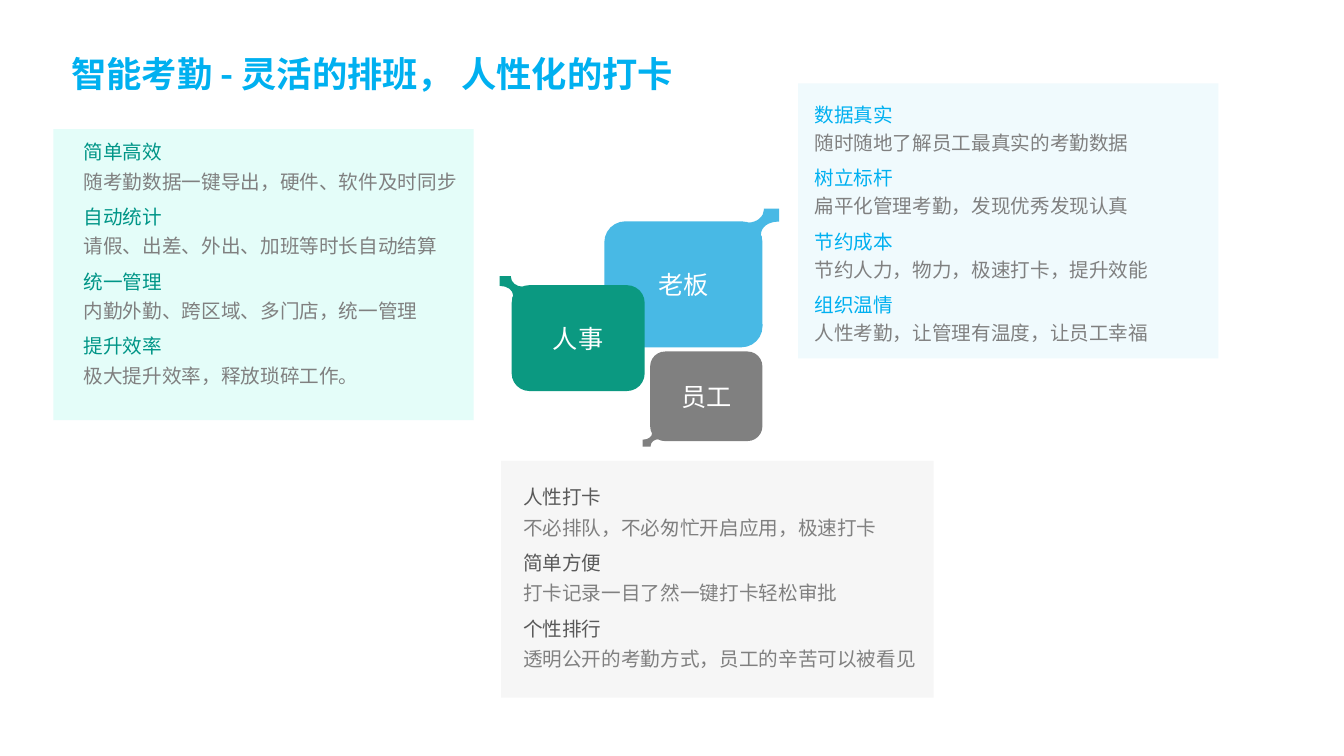
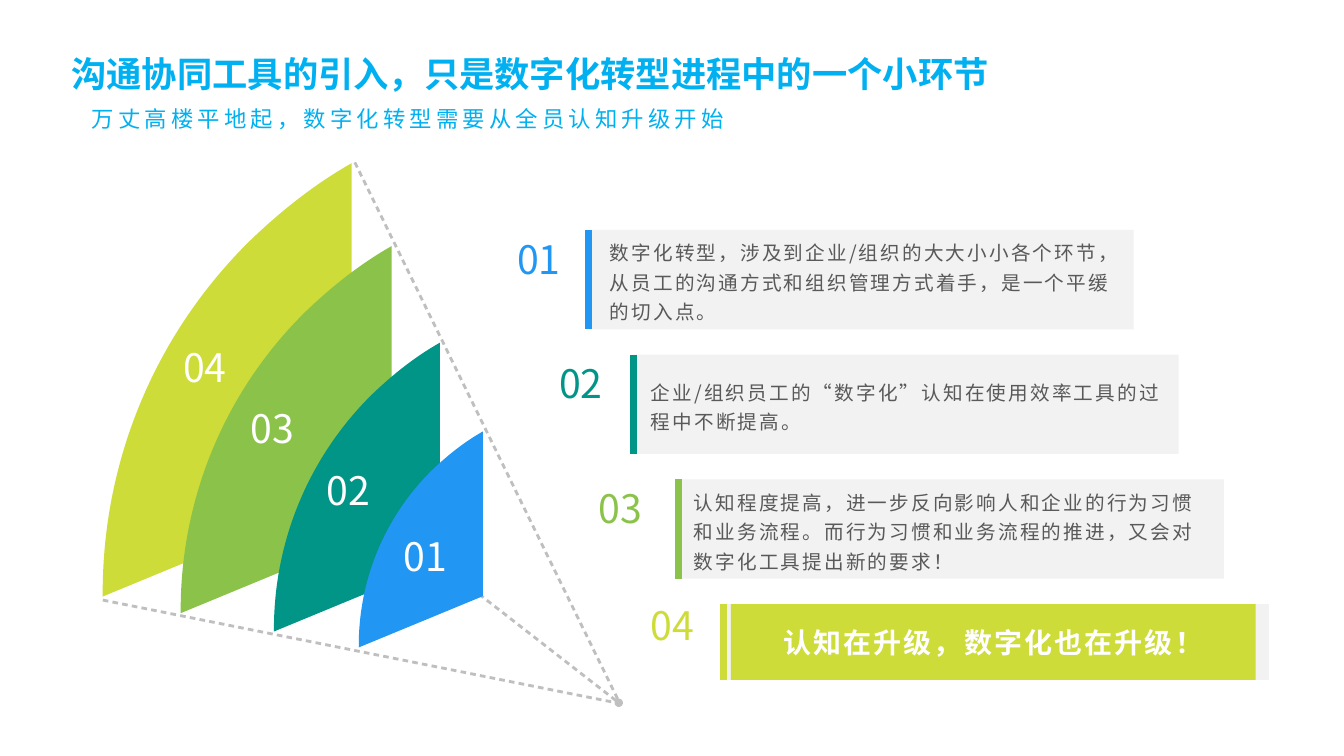
"""Build two slides on smart attendance and digital transformation."""
from dataclasses import dataclass

from pptx import Presentation
from pptx.dml.color import RGBColor
from pptx.enum.shapes import MSO_CONNECTOR, MSO_SHAPE
from pptx.enum.text import MSO_ANCHOR as Anchor, PP_ALIGN as Align
from pptx.oxml.ns import qn
from pptx.oxml.xmlchemy import OxmlElement
from pptx.util import Pt


@dataclass(frozen=True)
class Theme:
    font: str = "Noto Sans CJK SC"
    title: float = 25.2
    number: int = 28
    callout: int = 20
    bubble: int = 18
    subtitle: int = 16
    body: int = 14
    sky: str = "00B0F0"
    white: str = "FFFFFF"
    gray: str = "808080"
    dark: str = "595959"
    teal: str = "009587"
    blue: str = "2196F3"
    green: str = "8BC34A"
    lime: str = "CDDC39"
    boss: str = "48B9E5"
    staff: str = "0B9981"
    card: str = "F2F2F2"
    dash: str = "BFBFBF"


THEME = Theme()
TITLE_BOX = (43.9, 35.4, 738.7, 34.6)

ATTENDANCE_TITLE = "智能考勤 - 灵活的排班， 人性化的打卡"
PANELS = [
    dict(box=(358, 329.2, 309, 169.2), fill="F6F6F6", text_box=(366.6, 337.8, 300.2, 161.3),
         color=THEME.dark, spacing=1.3, items=[
             ("人性打卡", "不必排队，不必匆忙开启应用，极速打卡"),
             ("简单方便", "打卡记录一目了然一键打卡轻松审批"),
             ("个性排行", "透明公开的考勤方式，员工的辛苦可以被看见")]),
    dict(box=(38.2, 92.2, 300.2, 208), fill="E4FDF9", text_box=(52.7, 92.4, 286, 223),
         color=THEME.teal, spacing=1.25, items=[
             ("简单高效", "随考勤数据一键导出，硬件、软件及时同步"),
             ("自动统计", "请假、出差、外出、加班等时长自动结算"),
             ("统一管理", "内勤外勤、跨区域、多门店，统一管理"),
             ("提升效率", "极大提升效率，释放琐碎工作。")]),
    dict(box=(570.2, 59.6, 300.2, 196.5), fill="F0FAFD", text_box=(574.7, 66.4, 302, 197),
         color=THEME.sky, spacing=1.2, items=[
             ("数据真实", "随时随地了解员工最真实的考勤数据"),
             ("树立标杆", "扁平化管理考勤，发现优秀发现认真"),
             ("节约成本", "节约人力，物力，极速打卡，提升效能"),
             ("组织温情", "人性考勤，让管理有温度，让员工幸福")]),
]
BUBBLES = [
    ("老板", THEME.boss, (431.7, 158.1, 113, 90), (530.6, 149), (0.72, 0.72)),
    ("人事", THEME.staff, (365.5, 203.7, 95, 75.6), (376.3, 197.3), (-0.54, 0.54)),
    ("员工", THEME.gray, (464.4, 251.1, 80.2, 64), (472.7, 319), (-0.38, -0.38)),
]
TAIL = [(21, 0), (36, 0), (36, 13), (35, 13), (26, 13, 18, 18, 18, 26),
        (18, 27, 18, 28, 19, 28), (19, 30), (0, 30), (0, 13), (1, 14),
        (2, 14, 4, 14, 5, 14), (14, 14, 21, 8, 21, 1)]

UPGRADE_TITLE = "沟通协同工具的引入，只是数字化转型进程中的一个小环节"
SUBTITLE = "万丈高楼平地起，数字化转型需要从全员认知升级开始"
SECTOR_WIDTH = 247
SECTOR = [(247, 0), (247, 328), (0, 430), (-1, 303, 47, 176, 144, 79),
          (176, 48, 210, 21, 247, 0)]
SECTORS = [
    ("04", THEME.lime, (73.4, 116.6), 177.8, (123.8, 241.9)),
    ("03", THEME.green, (129.1, 175.8), 150.6, (172.1, 285.1)),
    ("02", THEME.teal, (195.7, 244.8), 118.5, (226.1, 329.8)),
    ("01", THEME.blue, (256.3, 308.2), 88.6, (281.5, 376.5)),
]
RAYS = [(253.5, 116), (442.8, 502.5), (72.7, 428.5)]
INNER_RAY = (442, 502, 119.5, 251.3)

CARDS = [
    ("01", THEME.blue, (362.3, 164.2), 428.5,
     "数字化转型，涉及到企业/组织的大大小小各个环节，从员工的沟通方式和组织管理方式着手，是一个平缓的切入点。"),
    ("02", THEME.teal, (392.3, 253.3), 457.8,
     "企业/组织员工的“数字化”认知在使用效率工具的过程中不断提高。"),
    ("03", THEME.green, (420.5, 342.6), 488.6,
     "认知程度提高，进一步反向影响人和企业的行为习惯和业务流程。而行为习惯和业务流程的推进，又会对数字化工具提出新的要求！"),
    ("04", THEME.lime, (457.8, 426), None, "认知在升级，数字化也在升级！"),
]
CARD_LEFT, CARD_TOP, CARD_WIDTH = 420.5, 164.2, 389.3
CARD_STEP = (32.2, 89.1)
CARD_HEIGHT, CALLOUT_HEIGHT = 71, 54.2
CALLOUT_INSET, CALLOUT_WIDTH = 4.9, 375
NUMBER_SIZE = (50, 41)


def rgb(value):
    return RGBColor.from_string(value)


def points(values):
    return [Pt(value) for value in values]


def write(paragraph, text, size, color, bold=False, align=Align.LEFT, spacing=None, tracking=0):
    paragraph.text = text
    paragraph.alignment = align
    paragraph.line_spacing = spacing
    font = paragraph.font
    font.name, font.size, font.bold = THEME.font, Pt(size), bold
    font.color.rgb = rgb(color)
    properties = paragraph._p.pPr.find(qn("a:defRPr"))
    properties.set("spc", str(int(tracking * 100)))
    east_asian = OxmlElement("a:ea")
    east_asian.set("typeface", THEME.font)
    properties.append(east_asian)


def add_text_box(slide, box, anchor=Anchor.TOP):
    frame = slide.shapes.add_textbox(*points(box)).text_frame
    frame.word_wrap = True
    frame.vertical_anchor = anchor
    return frame


def add_label(slide, box, text, size, color, anchor=Anchor.TOP, **style):
    write(add_text_box(slide, box, anchor).paragraphs[0], text, size, color, **style)


def paint(shape, fill):
    shape.shadow.inherit = False
    shape.fill.solid()
    shape.fill.fore_color.rgb = rgb(fill)
    shape.line.fill.background()


def add_block(slide, box, fill, kind=MSO_SHAPE.RECTANGLE):
    shape = slide.shapes.add_shape(kind, *points(box))
    paint(shape, fill)
    return shape


def write_centred(shape, text, size, **style):
    frame = shape.text_frame
    frame.word_wrap = True
    frame.vertical_anchor = Anchor.MIDDLE
    write(frame.paragraphs[0], text, size, THEME.white, align=Align.CENTER, **style)


def add_outline(slide, corners, close=True):
    start, *rest = [points(corner) for corner in corners]
    builder = slide.shapes.build_freeform(*start, scale=1.0)
    builder.add_line_segments(rest, close=close)
    return builder.convert_to_shape()


def bend(shape, outline):
    """Merge each run of three lines that stands for a cubic curve."""
    lines = iter(list(shape._element.iter(qn("a:lnTo"))))
    for segment in outline[1:]:
        first = next(lines)
        if len(segment) == 6:
            curve = OxmlElement("a:cubicBezTo")
            first.addprevious(curve)
            for line in (first, next(lines), next(lines)):
                curve.append(line[0])
                line.getparent().remove(line)


def add_curved_outline(slide, outline, origin, scale, fill):
    corners = [(origin[0] + segment[i] * scale[0], origin[1] + segment[i + 1] * scale[1])
               for segment in outline for i in range(0, len(segment), 2)]
    shape = add_outline(slide, corners)
    bend(shape, outline)
    paint(shape, fill)


def add_line(slide, ends, color, width):
    connector = slide.shapes.add_connector(MSO_CONNECTOR.STRAIGHT, *points(ends))
    connector.line.color.rgb = rgb(color)
    connector.line.width = Pt(width)
    connector._element.spPr.append(OxmlElement("a:effectLst"))
    return connector


def set_dash(shape, dash=200000, gap=150000):
    pattern = OxmlElement("a:custDash")
    stop = OxmlElement("a:ds")
    stop.set("d", str(dash))
    stop.set("sp", str(gap))
    pattern.append(stop)
    outline = shape._element.spPr.find(qn("a:ln"))
    outline.append(pattern)
    return outline


def add_slide(presentation, title):
    slide = presentation.slides.add_slide(presentation.slide_layouts[6])
    add_label(slide, TITLE_BOX, title, THEME.title, THEME.sky, Anchor.MIDDLE, bold=True)
    return slide


def add_panel(slide, panel):
    add_block(slide, panel["box"], panel["fill"])
    frame = add_text_box(slide, panel["text_box"])
    for index, (heading, detail) in enumerate(panel["items"]):
        paragraph = frame.add_paragraph() if index else frame.paragraphs[0]
        write(paragraph, heading, THEME.body, panel["color"],
              spacing=1.5 if index else panel["spacing"])
        write(frame.add_paragraph(), detail, THEME.body, THEME.gray, spacing=panel["spacing"])


def build_attendance(presentation):
    slide = add_slide(presentation, ATTENDANCE_TITLE)
    for panel in PANELS:
        add_panel(slide, panel)
    for name, color, box, tail_origin, tail_scale in BUBBLES:
        bubble = add_block(slide, box, color, MSO_SHAPE.ROUNDED_RECTANGLE)
        write_centred(bubble, name, THEME.bubble)
        add_curved_outline(slide, TAIL, tail_origin, tail_scale, color)


def add_rays(slide):
    rays = add_outline(slide, RAYS, close=False)
    rays.shadow.inherit = False
    rays.fill.background()
    rays.line.color.rgb = rgb(THEME.dash)
    rays.line.width = Pt(2)
    set_dash(rays)
    head = OxmlElement("a:headEnd")
    head.set("type", "oval")
    set_dash(add_line(slide, INNER_RAY, THEME.dash, 2)).append(head)


def add_card(slide, index, card):
    number, color, number_at, text_left, text = card
    left = CARD_LEFT + index * CARD_STEP[0]
    top = CARD_TOP + index * CARD_STEP[1]
    is_callout = text_left is None
    height = CALLOUT_HEIGHT if is_callout else CARD_HEIGHT
    add_block(slide, (left, top, CARD_WIDTH, height), THEME.card)
    add_line(slide, (left, top, left, top + height), color, 5)
    if is_callout:
        callout = add_block(slide, (left + CALLOUT_INSET, top, CALLOUT_WIDTH, height), color)
        write_centred(callout, text, THEME.callout, bold=True, tracking=1.5)
    else:
        add_label(slide, (text_left, top, 381.5, height), text, THEME.body, THEME.dark,
                  Anchor.MIDDLE, spacing=1.25, tracking=1.5)
    add_label(slide, number_at + NUMBER_SIZE, number, THEME.number, color)


def build_upgrade(presentation):
    slide = add_slide(presentation, UPGRADE_TITLE)
    add_label(slide, (52.4, 68, 472.5, 33.8), SUBTITLE, THEME.subtitle, THEME.sky,
              Anchor.MIDDLE, align=Align.RIGHT, tracking=3)
    add_rays(slide)
    for _, color, origin, width, _ in SECTORS:
        scale = width / SECTOR_WIDTH
        add_curved_outline(slide, SECTOR, origin, (scale, scale), color)
    for number, *_, number_at in SECTORS:
        add_label(slide, number_at + NUMBER_SIZE, number, THEME.number, THEME.white)
    for index, card in enumerate(CARDS):
        add_card(slide, index, card)


def main():
    presentation = Presentation()
    presentation.slide_width, presentation.slide_height = Pt(960), Pt(540)
    build_attendance(presentation)
    build_upgrade(presentation)
    presentation.save("out.pptx")


if __name__ == "__main__":
    main()
